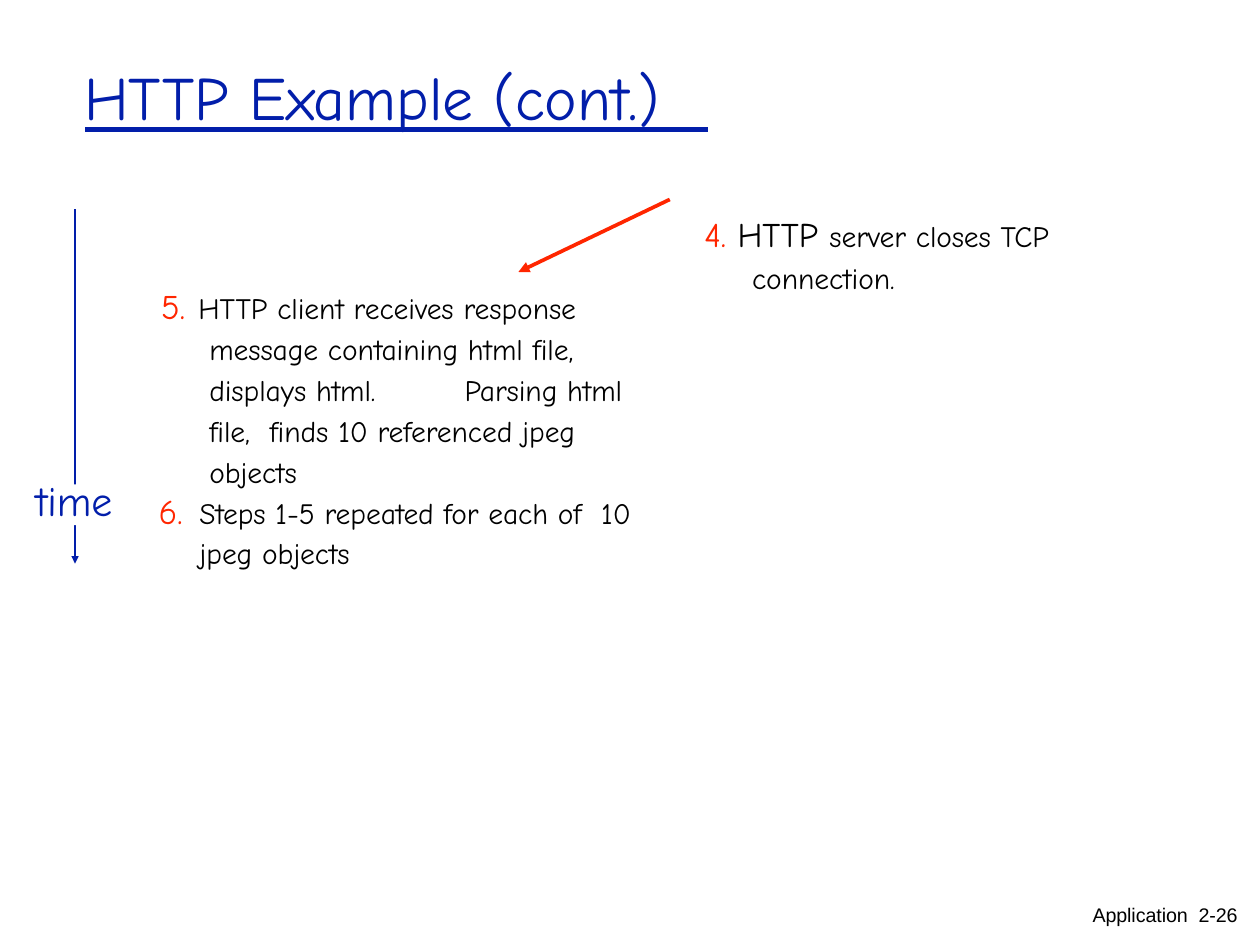
"""Build the slide on the closing steps of an HTTP exchange."""
from lxml import etree
from pptx import Presentation
from pptx.dml.color import RGBColor
from pptx.enum.shapes import MSO_CONNECTOR as Conn, MSO_SHAPE as Shape
from pptx.enum.text import MSO_ANCHOR as Anchor, MSO_AUTO_SIZE as AutoSize, PP_ALIGN as Align
from pptx.oxml.ns import qn
from pptx.util import Cm, Pt

BLUE, RED, BLACK, WHITE = "021EAA", "FF2600", "000000", "FFFFFF"
HAND, SANS = "Comic Neue", "Arial"

TITLE = ((2.39, 1.65, 17.93, 2.18), 0.03, [
    dict(runs=[("HTTP Example (cont.)", 50, BLUE, HAND)], before=1)])
TIME_GAP = (1.19, 13.89, 1.35, 1.17)
TEXTS = [
    ((4.55, 8.26, 14.05, 8.51), 0.07, [
        dict(runs=[("HTTP client receives response", 24, BLACK, HAND)],
             left=1.14, indent=-1.07, before=2.2, number=5, tab=1.14),
        dict(runs=[("message containing html file,  displays html.\tParsing html file,  "
                    "finds 10 referenced jpeg  objects", 24, BLACK, HAND)],
             left=1.45, before=0.2, spacing=1.15, tab=7.32),
        dict(runs=[("Steps 1-5 repeated for each of  10 jpeg objects", 24, BLACK, HAND)],
             left=1.17, indent=-1.17, before=0.8, spacing=1.13, number=6, tab=1.17)]),
    ((20.14, 5.92, 11.1, 2.62), 0.05, [
        dict(runs=[("4. ", 28, RED, HAND), ("HTTP ", 28, BLACK, HAND),
                   ("server closes TCP  connection.", 24, BLACK, HAND)],
             left=1.42, indent=-1.37, before=1.7, spacing=1.13)]),
    ((0.99, 13.59, 2.57, 1.5), 0.03, [
        dict(runs=[("time", 34, BLUE, HAND)], before=1)]),
    ((31.29, 25.91, 4.27, 0.71), 0, [
        dict(runs=[("Application  2-26", 16, BLACK, SANS)], spacing=Pt(18.7))]),
]
LINES = [
    ((2.44, 3.71, 20.29, 3.71), BLUE, 4.27, False),
    ((2.15, 6, 2.15, 16.16), BLUE, 2, True),
    ((19.2, 5.72, 14.86, 7.8), RED, 3, True),
]


def rgb(color):
    return RGBColor.from_string(color)


def set_all(obj, values):
    for name, value in values.items():
        setattr(obj, name, value)


def add_xml(parent, tag, **attrs):
    return etree.SubElement(parent, qn(tag), attrs)


def write(shape, top, paragraphs):
    tf = shape.text_frame
    set_all(tf, dict(word_wrap=True, auto_size=AutoSize.NONE, vertical_anchor=Anchor.TOP,
                     margin_left=0, margin_top=Cm(top), margin_right=0, margin_bottom=0))
    for i, item in enumerate(paragraphs):
        p = tf.add_paragraph() if i else tf.paragraphs[0]
        set_all(p, dict(alignment=Align.LEFT, line_spacing=item.get("spacing"),
                        space_before=Pt(item.get("before", 0))))
        ppr = p._p.get_or_add_pPr()
        ppr.set("marL", str(Cm(item.get("left", 0.03))))
        if "indent" in item:
            ppr.set("indent", str(Cm(item["indent"])))
        if "number" in item:
            add_xml(add_xml(ppr, "a:buClr"), "a:srgbClr", val=RED)
            add_xml(ppr, "a:buSzPct", val="117000")
            add_xml(ppr, "a:buAutoNum", type="arabicPeriod", startAt=str(item["number"]))
        if "tab" in item:
            add_xml(add_xml(ppr, "a:tabLst"), "a:tab", pos=str(Cm(item["tab"])), algn="l")
        for text, size, color, font in item["runs"]:
            r = p.add_run()
            r.text = text
            set_all(r.font, dict(name=font, size=Pt(size)))
            r.font.color.rgb = rgb(color)
            r.font._element.set("spc", "-5")


def add_line(s, ends, color, width, arrow):
    line = s.shapes.add_connector(Conn.STRAIGHT, *map(Cm, ends))
    line.line.color.rgb = rgb(color)
    line.line.width = Pt(width)
    if arrow:
        add_xml(line.line._get_or_add_ln(), "a:tailEnd", type="triangle")
    add_xml(line._element.spPr, "a:effectLst")


def main():
    prs = Presentation()
    set_all(prs, dict(slide_width=Cm(36.12), slide_height=Cm(27.1)))
    s = prs.slides.add_slide(prs.slide_layouts[5])

    box, top, paragraphs = TITLE
    title = s.shapes.title
    set_all(title, dict(zip(("left", "top", "width", "height"), map(Cm, box))))
    write(title, top, paragraphs)

    for line in LINES:
        add_line(s, *line)

    gap = s.shapes.add_shape(Shape.RECTANGLE, *map(Cm, TIME_GAP))
    gap.shadow.inherit = False
    gap.fill.solid()
    gap.fill.fore_color.rgb = rgb(WHITE)
    gap.line.fill.background()

    for box, top, paragraphs in TEXTS:
        write(s.shapes.add_textbox(*map(Cm, box)), top, paragraphs)

    prs.save("out.pptx")


if __name__ == "__main__":
    main()
